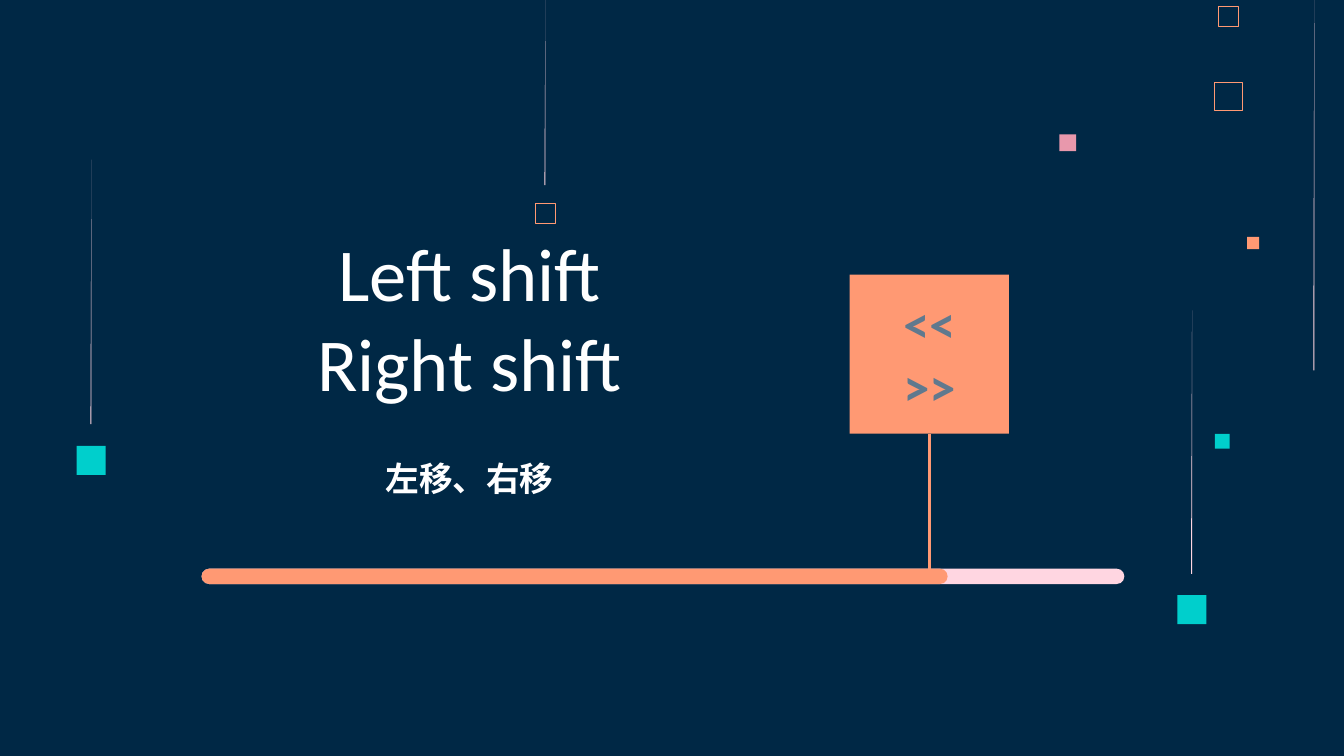
from lxml import etree
from pptx import Presentation
from pptx.dml.color import RGBColor
from pptx.enum.shapes import MSO_CONNECTOR, MSO_SHAPE
from pptx.enum.text import MSO_ANCHOR, PP_ALIGN
from pptx.oxml.ns import qn
from pptx.util import Cm, Pt

RECT, ROUND = MSO_SHAPE.RECTANGLE, MSO_SHAPE.ROUNDED_RECTANGLE
STRAIGHT = MSO_CONNECTOR.STRAIGHT
MIDDLE, BOTTOM = MSO_ANCHOR.MIDDLE, MSO_ANCHOR.BOTTOM
CENTER = PP_ALIGN.CENTER

HUES = {"navy": "002845", "coral": "FF9973", "teal": "00CFCC", "rose": "E898AC",
        "blush": "FFD6E1", "slate": "60798E", "white": "FFFFFF"}

# All lengths in cm
WIDE, HIGH = 25.4, 14.29
DOTS = [  # left, top, side, fill
    (20.02, 2.54, 0.32, "rose"),
    (22.96, 8.2, 0.28, "teal"),
    (23.57, 4.48, 0.23, "coral"),
    (22.25, 11.25, 0.55, "teal"),
    (1.45, 8.43, 0.55, "teal"),
]
FRAMES = [  # left, top, side, line width in points
    (22.95, 1.55, 0.53, 0.45),
    (23.03, 0.12, 0.38, 0.32),
    (10.12, 3.84, 0.38, 0.32),
]
STREAKS = [  # right, top, bottom
    (10.31, 0, 3.5),
    (24.84, 0, 7),
    (22.53, 5.87, 10.85),
    (1.73, 3.02, 8.02),
]
THIN = 0.02
BARS = [(17.44, "blush"), (14.1, "coral")]
BAR_X, BAR_Y, BAR_H = 3.81, 10.75, 0.29
CARD_X, CARD_Y, CARD = 16.06, 5.19, 3.01

TITLE = "Left shift\vRight shift"
SUB = "左移、右移"
SIGNS = "<<\n>>"
TITLE_BOX = (5.23, 5.59, 7.29, 2.34)
SUB_BOX = (4.57, 7.57, 8.61, 2.92)
TITLE_FONT = {"name": "Calibri", "size": Pt(40), "bold": False}
SUB_FONT = {"name": "Noto Sans CJK SC", "size": Pt(18), "bold": True}
SIGN_FONT = {"name": "Calibri", "size": Pt(28), "bold": True}


def hue(name):
    return RGBColor.from_string(HUES[name])


def paint(shape, fill=None, line=None, width=0):
    shape.shadow.inherit = False
    if fill:
        shape.fill.solid()
        shape.fill.fore_color.rgb = hue(fill)
    else:
        shape.fill.background()
    if line:
        shape.line.color.rgb = hue(line)
        shape.line.width = Pt(width)
    else:
        shape.line.fill.background()


def block(kind, box, **style):
    shape = shapes.add_shape(kind, *map(Cm, box))
    paint(shape, **style)
    return shape


def write(shape, text, font, color, anchor):
    frame = shape.text_frame
    look = {"word_wrap": True, "vertical_anchor": anchor}
    look.update({f"margin_{side}": Cm(0.25) for side in ("left", "right", "top", "bottom")})
    for key, value in look.items():
        setattr(frame, key, value)
    frame.text = text
    for para in frame.paragraphs:
        para.alignment = CENTER
        for run in para.runs:
            for key, value in font.items():
                setattr(run.font, key, value)
            run.font.color.rgb = hue(color)
            east = etree.SubElement(run.font._element, qn("a:ea"))
            east.set("typeface", font["name"])


def streak(right, top, bottom):
    """Draw a thin wedge that fades to a point at its top."""
    pen = shapes.build_freeform(Cm(right), Cm(top))
    pen.add_line_segments([(Cm(right - THIN), Cm(bottom)), (Cm(right), Cm(bottom))])
    paint(pen.convert_to_shape(), fill="blush")


deck = Presentation()
deck.slide_width, deck.slide_height = Cm(WIDE), Cm(HIGH)
slide = deck.slides.add_slide(deck.slide_layouts[6])
shapes = slide.shapes
slide.background.fill.solid()
slide.background.fill.fore_color.rgb = hue("navy")

for x, y, side, color in DOTS:
    block(RECT, (x, y, side, side), fill=color)
for x, y, side, width in FRAMES:
    block(RECT, (x, y, side, side), line="coral", width=width)
for ends in STREAKS:
    streak(*ends)

for box, text, font, anchor in [(TITLE_BOX, TITLE, TITLE_FONT, BOTTOM),
                                (SUB_BOX, SUB, SUB_FONT, MIDDLE)]:
    write(shapes.add_textbox(*map(Cm, box)), text, font, "white", anchor)

card = block(RECT, (CARD_X, CARD_Y, CARD, CARD), fill="coral")
write(card, SIGNS, SIGN_FONT, "slate", MIDDLE)

for length, color in BARS:
    bar = block(ROUND, (BAR_X, BAR_Y, length, BAR_H), fill=color)
    bar.adjustments[0] = 0.5

mid = Cm(CARD_X + CARD / 2)
stem = shapes.add_connector(STRAIGHT, mid, Cm(CARD_Y + CARD), mid, Cm(BAR_Y + BAR_H / 2))
stem.line.color.rgb = hue("coral")
stem.line.width = Pt(1.5)
etree.SubElement(stem._element.spPr, qn("a:effectLst"))

deck.save("out.pptx")
